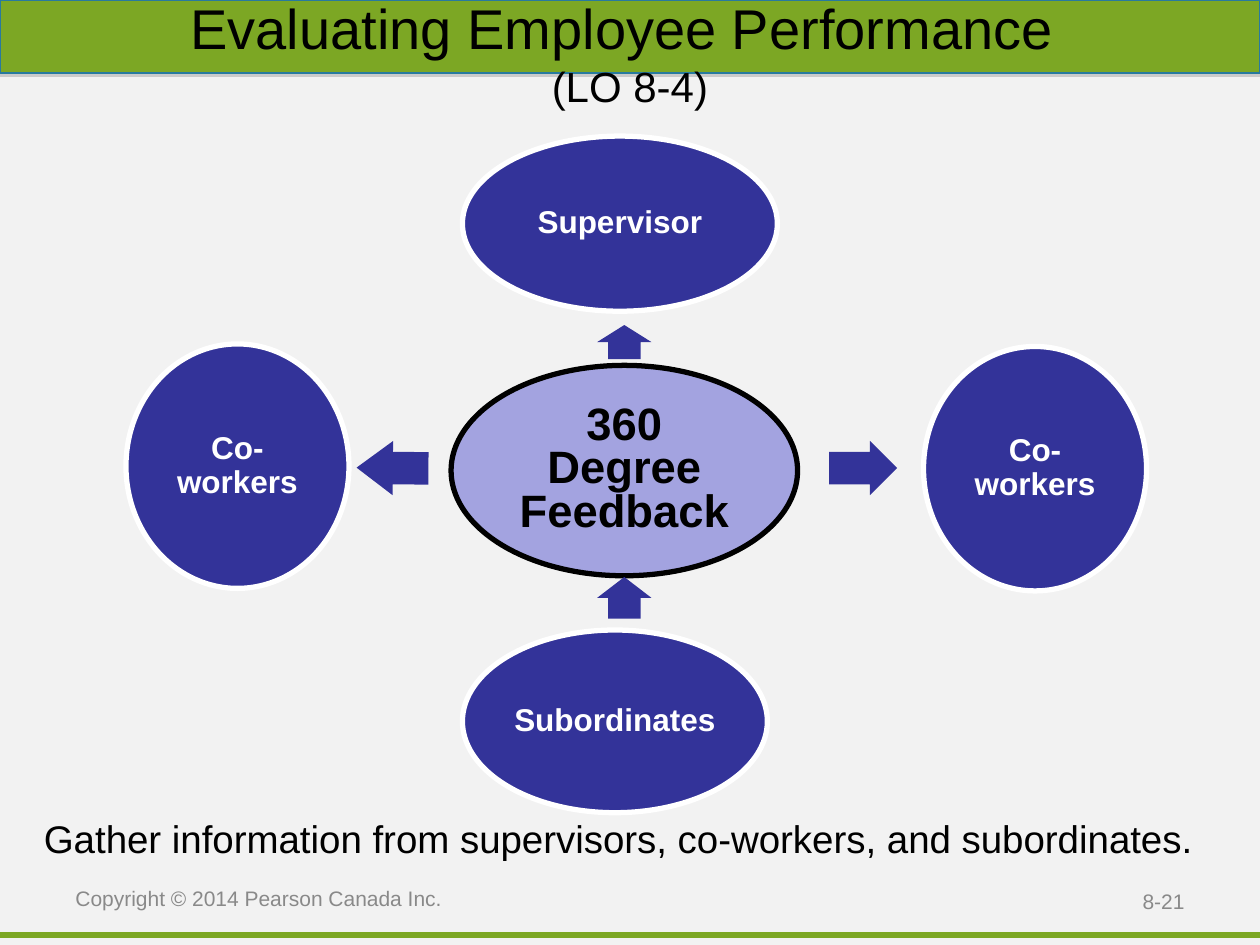
import lxml.etree
import pptx
import pptx.dml.color
import pptx.enum.shapes
import pptx.enum.text
import pptx.oxml.ns
import pptx.util

Inches, Pt = pptx.util.Inches, pptx.util.Pt
RGBColor = pptx.dml.color.RGBColor
SHAPE = pptx.enum.shapes.MSO_SHAPE
ALIGN = pptx.enum.text.PP_ALIGN
ANCHOR = pptx.enum.text.MSO_ANCHOR
qn = pptx.oxml.ns.qn

GREEN = RGBColor(0x7C, 0xA7, 0x24)
BAND_EDGE = RGBColor(0x28, 0x7A, 0x9E)
BACKGROUND = RGBColor(0xF2, 0xF2, 0xF2)
NAVY = RGBColor(0x33, 0x33, 0x99)
LAVENDER = RGBColor(0xA3, 0xA3, 0xE0)
BLACK = RGBColor(0, 0, 0)
WHITE = RGBColor(0xFF, 0xFF, 0xFF)
GRAY = RGBColor(0x89, 0x89, 0x89)

WIDTH, HEIGHT = 10, 7.5

# Content: boxes are left, top, width, height in inches
TITLE = [("Evaluating Employee Performance ", 32), ("(LO 8-4)", 24)]
CAPTION = "Gather information from supervisors, co-workers, and subordinates."
COPYRIGHT = "Copyright © 2014 Pearson Canada Inc."
PAGE = "8-21"
HUB = ("360 Degree Feedback", (3.58, 2.9, 2.75, 1.67))
RATERS = [
    ("Supervisor", (3.67, 1.08, 2.5, 1.39)),
    ("Co-workers", (7.33, 2.75, 1.77, 1.94)),
    ("Subordinates", (3.67, 5, 2.42, 1.45)),
    ("Co-workers", (1, 2.73, 1.77, 1.94)),
]
ARROW_SPAN = 0.43
ARROWS = [  # kind, box, head share, rotation
    (SHAPE.UP_ARROW, (4.74, 2.58, ARROW_SPAN, 0.27), 0.5, 0),
    (SHAPE.RIGHT_ARROW, (6.58, 3.5, 0.54, ARROW_SPAN), 0.5, 0),
    (SHAPE.UP_ARROW, (4.74, 4.58, ARROW_SPAN, 0.33), 0.5, 0),
    (SHAPE.LEFT_ARROW, (2.83, 3.5, 0.57, ARROW_SPAN), 0.67, 0.6),
]


def write(shape, text, size=12, color=BLACK, bold=False, align=ALIGN.LEFT,
          anchor=ANCHOR.MIDDLE, insets=(0.1, 0.05), spacing=None):
    """Fill a shape with one paragraph; text is a string or (line, size) pairs."""
    frame = shape.text_frame
    frame.word_wrap = True
    frame.vertical_anchor = anchor
    frame.margin_left = frame.margin_right = Inches(insets[0])
    frame.margin_top = frame.margin_bottom = Inches(insets[1])
    paragraph = frame.paragraphs[0]
    paragraph.alignment = align
    if spacing:
        paragraph.line_spacing = spacing
    lines = [(text, size)] if isinstance(text, str) else text
    for index, (line, line_size) in enumerate(lines):
        if index:
            paragraph.add_line_break()
        run = paragraph.add_run()
        run.text = line
        run.font.name = "Arial"
        run.font.size = Pt(line_size)
        run.font.bold = bold
        run.font.color.rgb = color


def add_text(slide, box, text, **style):
    write(slide.shapes.add_textbox(*map(Inches, box)), text, **style)


def add_shape(slide, kind, box, fill, line=None, line_width=3):
    shape = slide.shapes.add_shape(kind, *map(Inches, box))
    shape.shadow.inherit = False
    shape.fill.solid()
    shape.fill.fore_color.rgb = fill
    if line is None:
        shape.line.fill.background()
    else:
        shape.line.color.rgb = line
        shape.line.width = Pt(line_width)
    return shape


def add_band(slide):
    band = add_shape(slide, SHAPE.RECTANGLE, (0, 0, WIDTH, 0.58), GREEN, BAND_EDGE, 0.75)
    effects = band._element.spPr.find(qn("a:effectLst"))
    shadow = lxml.etree.SubElement(effects, qn("a:outerShdw"), blurRad="0",
                                   dist=str(int(Pt(1.8))), dir="5400000", rotWithShape="0")
    color = lxml.etree.SubElement(shadow, qn("a:srgbClr"), val="808080")
    lxml.etree.SubElement(color, qn("a:alpha"), val="35000")


def add_rule(slide, top):
    rule = slide.shapes.add_connector(pptx.enum.shapes.MSO_CONNECTOR.STRAIGHT,
                                      0, Inches(top), Inches(WIDTH), Inches(top))
    rule.line.color.rgb = GREEN
    rule.line.width = Pt(3)
    lxml.etree.SubElement(rule._element.spPr, qn("a:effectLst"))


def add_oval(slide, label, box, fill, line, **style):
    oval = add_shape(slide, SHAPE.OVAL, box, fill, line)
    write(oval, label, bold=True, align=ALIGN.CENTER, insets=(0.03, 0.03), **style)


def main():
    presentation = pptx.Presentation()
    presentation.slide_width = Inches(WIDTH)
    presentation.slide_height = Inches(HEIGHT)
    slide = presentation.slides.add_slide(presentation.slide_layouts[6])
    slide.background.fill.solid()
    slide.background.fill.fore_color.rgb = BACKGROUND

    # Frame and texts
    add_rule(slide, 7.42)
    add_band(slide)
    add_text(slide, (0, 0, WIDTH, 0.83), TITLE, align=ALIGN.CENTER, insets=(0.25, 0.25))
    add_text(slide, (0.25, 6.42, 9.5, 0.58), CAPTION, size=22, anchor=ANCHOR.TOP)
    add_text(slide, (7.17, 6.95, 2.33, 0.4), PAGE, color=GRAY, align=ALIGN.RIGHT)
    add_text(slide, (0.5, 6.75, 3.25, 0.75), COPYRIGHT, color=GRAY)

    # Feedback diagram
    add_oval(slide, *HUB, LAVENDER, BLACK, size=25.9, spacing=0.8)
    for label, box in RATERS:
        add_oval(slide, label, box, NAVY, WHITE, size=18, color=WHITE, spacing=0.9)
    for kind, box, head, rotation in ARROWS:
        arrow = add_shape(slide, kind, box, NAVY)
        arrow.adjustments[0] = 0.6
        arrow.adjustments[1] = head
        arrow.rotation = rotation

    presentation.save("out.pptx")


if __name__ == "__main__":
    main()
